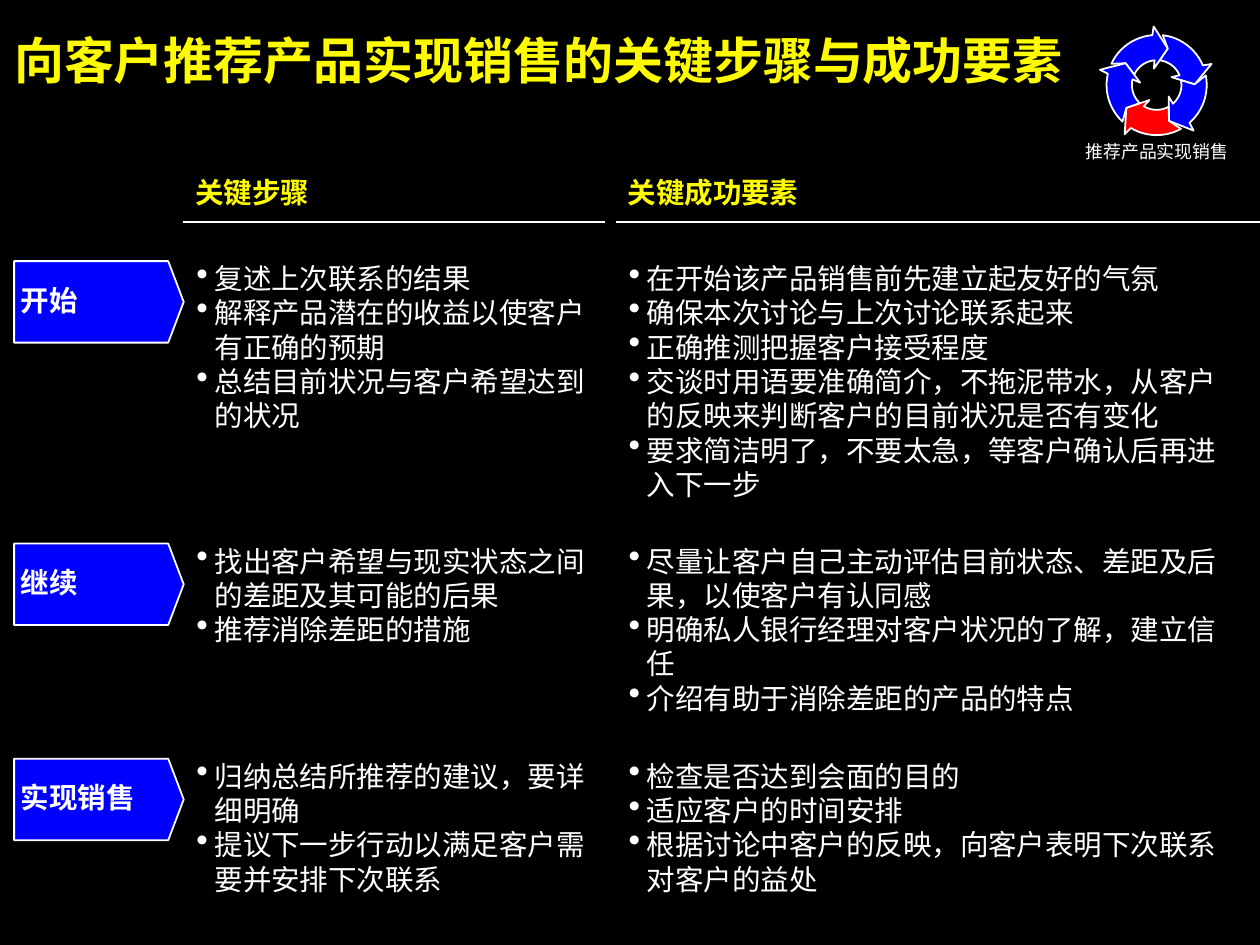
import math

from lxml import etree
from pptx import Presentation
from pptx import util as u
from pptx.dml.color import RGBColor
from pptx.enum import shapes, text
from pptx.oxml import ns

COLORS = {"black": "000000", "white": "FFFFFF", "yellow": "FEFB00",
          "blue": "0000FE", "red": "FF0000"}

TITLE = {"size": u.Pt(28), "bold": True, "name": "Arial"}
HEADING = {"size": u.Pt(16), "bold": True, "name": "Arial"}
BODY = {"size": u.Pt(16), "bold": False, "name": "Arial"}
CAPTION = {"size": u.Pt(10), "bold": False, "name": "Arial"}

SLIDE_WIDTH, SLIDE_HEIGHT = 24.89, 18.67
# Heading, text left, text width, rule start, rule end
COLUMNS = [("关键步骤", 3.86, 8.13, 3.61, 11.96),
           ("关键成功要素", 12.4, 11.84, 12.17, SLIDE_WIDTH)]

# Stage, top, height, bullets of each column
STAGES = [
    ("开始", 5.16, 4.75,
     ["复述上次联系的结果",
      "解释产品潜在的收益以使客户有正确的预期",
      "总结目前状况与客户希望达到的状况"],
     ["在开始该产品销售前先建立起友好的气氛",
      "确保本次讨论与上次讨论联系起来",
      "正确推测把握客户接受程度",
      "交谈时用语要准确简介，不拖泥带水，从客户的反映来判断客户的目前状况是否有变化",
      "要求简洁明了，不要太急，等客户确认后再进入下一步"]),
    ("继续", 10.74, 3.38,
     ["找出客户希望与现实状态之间的差距及其可能的后果",
      "推荐消除差距的措施"],
     ["尽量让客户自己主动评估目前状态、差距及后果，以使客户有认同感",
      "明确私人银行经理对客户状况的了解，建立信任",
      "介绍有助于消除差距的产品的特点"]),
    ("实现销售", 14.99, 2.72,
     ["归纳总结所推荐的建议，要详细明确",
      "提议下一步行动以满足客户需要并安排下次联系"],
     ["检查是否达到会面的目的",
      "适应客户的时间安排",
      "根据讨论中客户的反映，向客户表明下次联系对客户的益处"]),
]

RING_X, RING_Y = 22.85, 1.68
ARROW_COLORS = ["blue", "blue", "blue", "red", "blue"]


def rgb(name):
    return RGBColor.from_string(COLORS[name])


def apply(target, values):
    for name, value in values.items():
        setattr(target, name, value)


def paint(shape, color):
    """Give a shape a flat fill and a thin white outline."""
    shape.shadow.inherit = False
    shape.fill.solid()
    shape.fill.fore_color.rgb = rgb(color)
    shape.line.color.rgb = rgb("white")
    shape.line.width = u.Pt(1)


def add_bullet(para):
    props = para._p.get_or_add_pPr()
    props.set("marL", str(u.Cm(0.38)))
    props.set("indent", str(u.Cm(-0.36)))
    color = etree.SubElement(props, ns.qn("a:buClr"))
    etree.SubElement(color, ns.qn("a:srgbClr"), val=COLORS["white"])
    etree.SubElement(props, ns.qn("a:buSzPct"), val="120000")
    etree.SubElement(props, ns.qn("a:buChar"), char="•")


def write(shape, lines, style, color="white", bullets=False,
          align=text.PP_ALIGN.LEFT, **frame_values):
    frame = shape.text_frame
    apply(frame, {"word_wrap": True, "margin_left": 0, "margin_top": 0,
                  "margin_right": 0, "margin_bottom": 0, **frame_values})
    for index, line in enumerate(lines):
        para = frame.add_paragraph() if index else frame.paragraphs[0]
        para.alignment = align
        if bullets:
            add_bullet(para)
        span = para.add_run()
        span.text = line
        apply(span.font, style)
        span.font.color.rgb = rgb(color)


def add_text(page, left, top, width, height, lines, style, **options):
    box = page.shapes.add_textbox(*map(u.Cm, (left, top, width, height)))
    write(box, lines, style, **options)


def add_rule(page, start, end, top):
    rule = page.shapes.add_connector(
        shapes.MSO_CONNECTOR.STRAIGHT,
        u.Cm(start), u.Cm(top), u.Cm(end), u.Cm(top))
    rule.line.color.rgb = rgb("white")
    rule.line.width = u.Pt(1)
    etree.SubElement(rule._element.spPr, ns.qn("a:effectLst"))


def add_stage(page, name, top):
    stage = page.shapes.add_shape(
        shapes.MSO_SHAPE.PENTAGON,
        u.Cm(0.28), u.Cm(top), u.Cm(3.35), u.Cm(1.61))
    stage.adjustments[0] = 0.19
    paint(stage, "blue")
    write(stage, [name], HEADING, margin_left=u.Cm(0.13),
          margin_bottom=u.Cm(0.08), vertical_anchor=text.MSO_ANCHOR.MIDDLE)


def ring_point(angle, radius):
    """Point on the ring, with the angle in degrees clockwise from the top."""
    turn = math.radians(angle)
    return (u.Cm(RING_X + radius * math.sin(turn)),
            u.Cm(RING_Y - radius * math.cos(turn)))


def add_ring_arrow(page, start, color):
    steps = range(0, 61, 5)
    outline = [(step, 0.99) for step in steps]
    outline += [(62, 1.16), (82, 0.75), (55, 0.33)]
    outline += [(step, 0.49) for step in reversed(steps)]
    outline.append((10, 0.75))
    points = [ring_point(start + angle, radius) for angle, radius in outline]
    builder = page.shapes.build_freeform(*points[0])
    builder.add_line_segments(points[1:], close=True)
    paint(builder.convert_to_shape(), color)


def main():
    deck = Presentation()
    deck.slide_width, deck.slide_height = u.Cm(SLIDE_WIDTH), u.Cm(SLIDE_HEIGHT)
    page = deck.slides.add_slide(deck.slide_layouts[6])
    page.background.fill.solid()
    page.background.fill.fore_color.rgb = rgb("black")

    add_text(page, 0.28, 0.58, 21.46, 1.19,
             ["向客户推荐产品实现销售的关键步骤与成功要素"], TITLE, color="yellow")

    for heading, left, width, rule_start, rule_end in COLUMNS:
        add_text(page, left, 3.45, width, 0.69, [heading], HEADING,
                 color="yellow")
        add_rule(page, rule_start, rule_end, 4.39)

    for name, top, height, *lists in STAGES:
        add_stage(page, name, top)
        for (_, left, width, *_), lines in zip(COLUMNS, lists):
            add_text(page, left, top, width, height, lines, BODY, bullets=True)

    for index, color in enumerate(ARROW_COLORS):
        add_ring_arrow(page, -65 + 72 * index, color)
    add_text(page, 21.23, 2.77, 3.25, 0.43, ["推荐产品实现销售"], CAPTION,
             align=text.PP_ALIGN.CENTER,
             vertical_anchor=text.MSO_ANCHOR.MIDDLE)

    deck.save("out.pptx")


if __name__ == "__main__":
    main()
